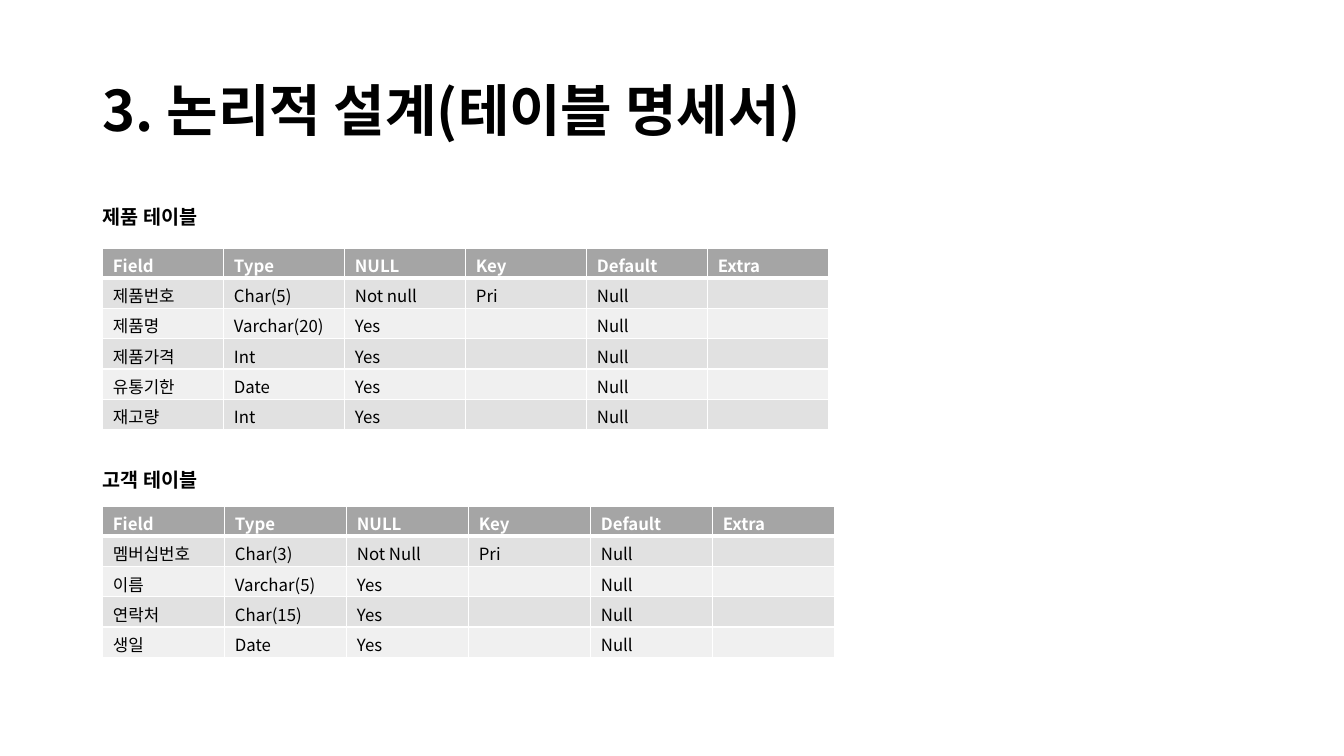
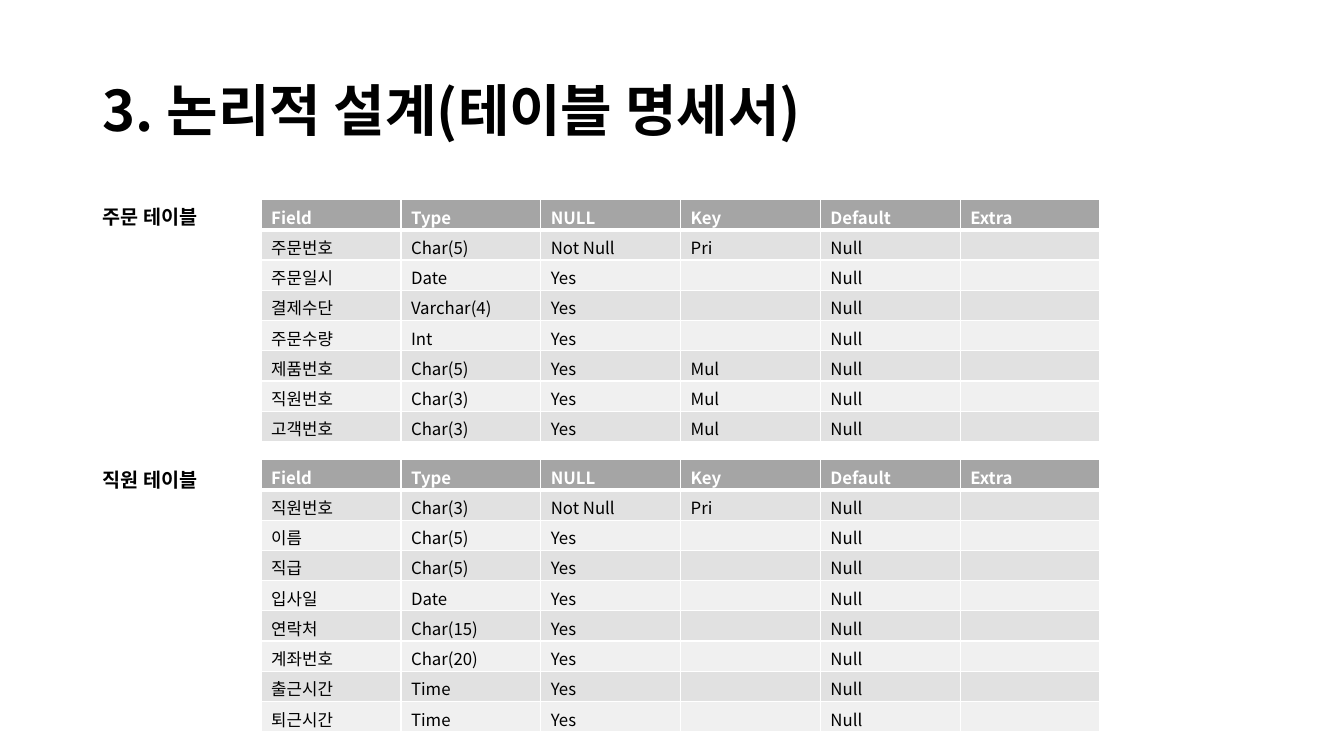
"""Build two slides of database table specifications."""
from dataclasses import dataclass
from lxml import etree
from pptx import Presentation, util as u
from pptx.dml.color import RGBColor
from pptx.enum import text
from pptx.oxml import ns

TITLE = "3. 논리적 설계(테이블 명세서)"
HEADER = ("Field", "Type", "NULL", "Key", "Default", "Extra")
TAIL = ("Null", "")
SLIDES = [
    {"left": 1.02, "tables": [
        {"heading": "제품 테이블", "top": 2.46, "width": 7.2, "fields": [
            ("제품번호", "Char(5)", "Not null", "Pri"),
            ("제품명", "Varchar(20)", "Yes", ""),
            ("제품가격", "Int", "Yes", ""),
            ("유통기한", "Date", "Yes", ""),
            ("재고량", "Int", "Yes", "")]},
        {"heading": "고객 테이블", "top": 5.02, "width": 7.26, "fields": [
            ("멤버십번호", "Char(3)", "Not Null", "Pri"),
            ("이름", "Varchar(5)", "Yes", ""),
            ("연락처", "Char(15)", "Yes", ""),
            ("생일", "Date", "Yes", "")]}]},
    {"left": 2.59, "tables": [
        {"heading": "주문 테이블", "top": 1.98, "width": 8.32, "fields": [
            ("주문번호", "Char(5)", "Not Null", "Pri"),
            ("주문일시", "Date", "Yes", ""),
            ("결제수단", "Varchar(4)", "Yes", ""),
            ("주문수량", "Int", "Yes", ""),
            ("제품번호", "Char(5)", "Yes", "Mul"),
            ("직원번호", "Char(3)", "Yes", "Mul"),
            ("고객번호", "Char(3)", "Yes", "Mul")]},
        {"heading": "직원 테이블", "top": 4.56, "width": 8.32, "fields": [
            ("직원번호", "Char(3)", "Not Null", "Pri"),
            ("이름", "Char(5)", "Yes", ""),
            ("직급", "Char(5)", "Yes", ""),
            ("입사일", "Date", "Yes", ""),
            ("연락처", "Char(15)", "Yes", ""),
            ("계좌번호", "Char(20)", "Yes", ""),
            ("출근시간", "Time", "Yes", ""),
            ("퇴근시간", "Time", "Yes", "")]}]},
]


@dataclass(frozen=True)
class Theme:
    """Colours, type sizes and line widths."""
    font: str = "Noto Sans CJK KR"
    ink: str = "000000"
    paper: str = "FFFFFF"
    header: str = "A5A5A5"
    bands: tuple = ("E1E1E1", "F0F0F0")
    title: int = 40
    heading: int = 14
    body: int = 12
    rule: int = 1
    header_rule: int = 3


THEME = Theme()
SLIDE_SIZE = (13.33, 7.5)
TITLE_BOX = (0.92, 0.4, 11.5, 1.45)
HEADING_TOPS = (1.98, 4.59)
HEADING_SIZE = (1.25, 0.34)
ROW_HEIGHT = 0.3


def write(frame, words, size, color=THEME.ink, bold=False, spacing=None):
    """Put one formatted paragraph into a text frame."""
    paragraph = frame.paragraphs[0]
    paragraph.alignment = text.PP_ALIGN.LEFT
    if spacing:
        paragraph.line_spacing = spacing
    if not words:
        paragraph.font.size = u.Pt(size)
        etree.SubElement(paragraph._p, ns.qn("a:endParaRPr"), sz=str(size * 100))
        return
    run = paragraph.add_run()
    run.text = words
    run.font.name, run.font.size, run.font.bold = THEME.font, u.Pt(size), bold
    run.font.color.rgb = RGBColor.from_string(color)
    etree.SubElement(run.font._element, ns.qn("a:ea"), typeface=THEME.font)


def rule_cell(cell, **widths):
    """Draw the four borders of a cell, widths in points by side."""
    props = cell._tc.get_or_add_tcPr()
    for side in "LRTB":
        width = u.Pt(widths.get(side, THEME.rule))
        line = etree.SubElement(props, ns.qn(f"a:ln{side}"), w=str(width))
        fill = etree.SubElement(line, ns.qn("a:solidFill"))
        etree.SubElement(fill, ns.qn("a:srgbClr"), val=THEME.paper)


def add_heading(slide, words, top):
    """Add the bold label of a table."""
    box = slide.shapes.add_textbox(*map(u.Inches, (TITLE_BOX[0], top, *HEADING_SIZE)))
    box.text_frame.word_wrap = False
    box.text_frame.auto_size = text.MSO_AUTO_SIZE.SHAPE_TO_FIT_TEXT
    write(box.text_frame, words, THEME.heading, bold=True)


def add_fields(slide, left, top, width, fields):
    """Add a banded table with one row per field."""
    rows = [HEADER] + [field + TAIL for field in fields]
    box = (left, top, width, ROW_HEIGHT * len(rows))
    table = slide.shapes.add_table(len(rows), len(HEADER), *map(u.Inches, box)).table
    for row in table.rows:
        row.height = u.Inches(ROW_HEIGHT)
    for column in table.columns:
        column.width = u.Inches(width / len(HEADER))
    for r, values in enumerate(rows):
        is_header = r == 0
        fill = THEME.header if is_header else THEME.bands[(r - 1) % 2]
        color = THEME.paper if is_header else THEME.ink
        thick = {0: {"B": THEME.header_rule}, 1: {"T": THEME.header_rule}}.get(r, {})
        for c, value in enumerate(values):
            cell = table.cell(r, c)
            cell.margin_top, cell.margin_bottom = u.Inches(0.05), 0
            rule_cell(cell, **thick)
            cell.fill.solid()
            cell.fill.fore_color.rgb = RGBColor.from_string(fill)
            write(cell.text_frame, value, THEME.body, color=color, bold=is_header)


def main():
    """Assemble and save the deck."""
    deck = Presentation()
    deck.slide_width, deck.slide_height = map(u.Inches, SLIDE_SIZE)
    layout = deck.slide_layouts[5]
    for content in SLIDES:
        slide = deck.slides.add_slide(layout)
        title = slide.shapes.title
        title.left, title.top, title.width, title.height = map(u.Inches, TITLE_BOX)
        title.text_frame.vertical_anchor = text.MSO_ANCHOR.MIDDLE
        write(title.text_frame, TITLE, THEME.title, bold=True, spacing=0.9)
        for spec_table, top in zip(content["tables"], HEADING_TOPS):
            add_heading(slide, spec_table["heading"], top)
            add_fields(slide, content["left"], spec_table["top"],
                       spec_table["width"], spec_table["fields"])
    deck.save("out.pptx")


main()
